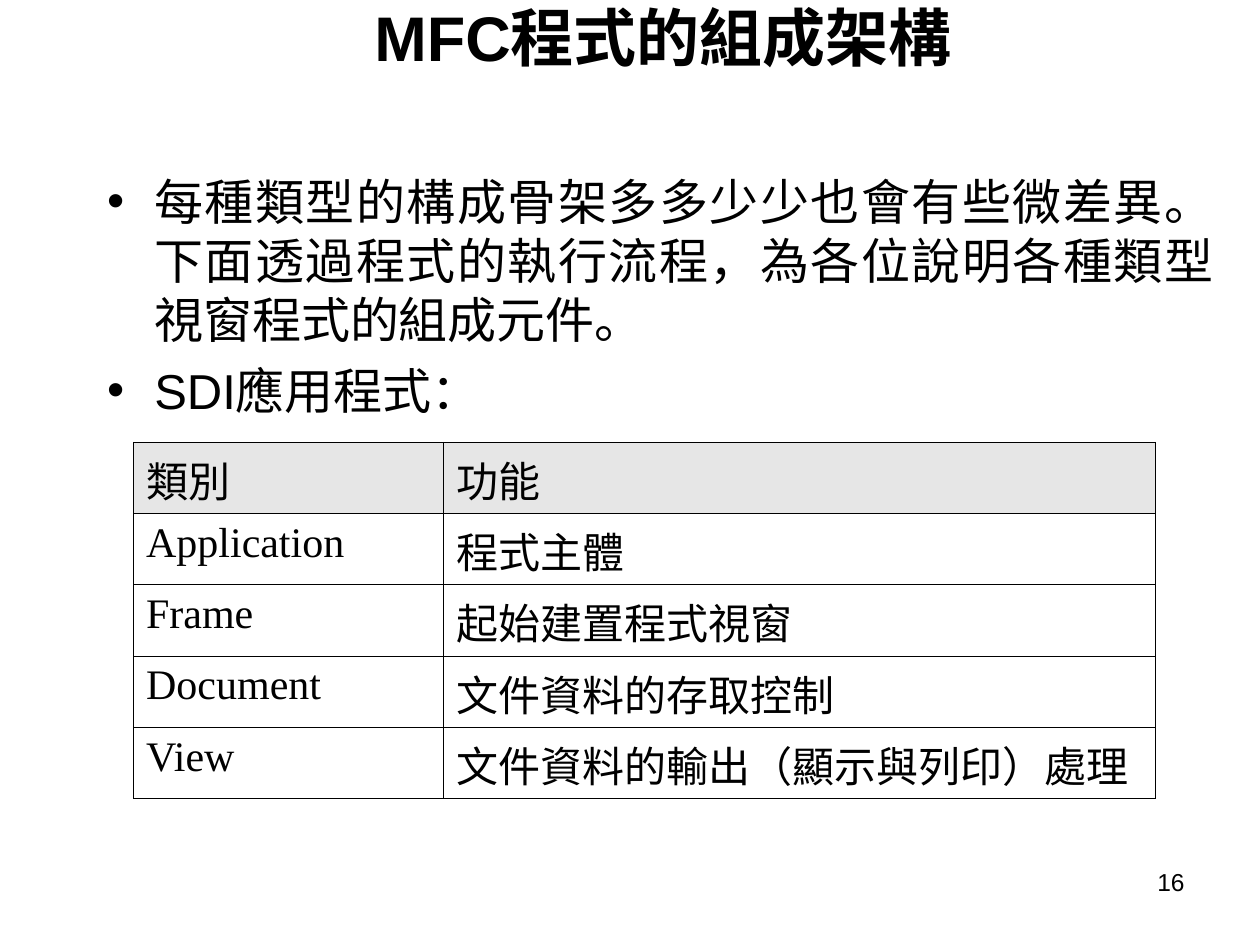
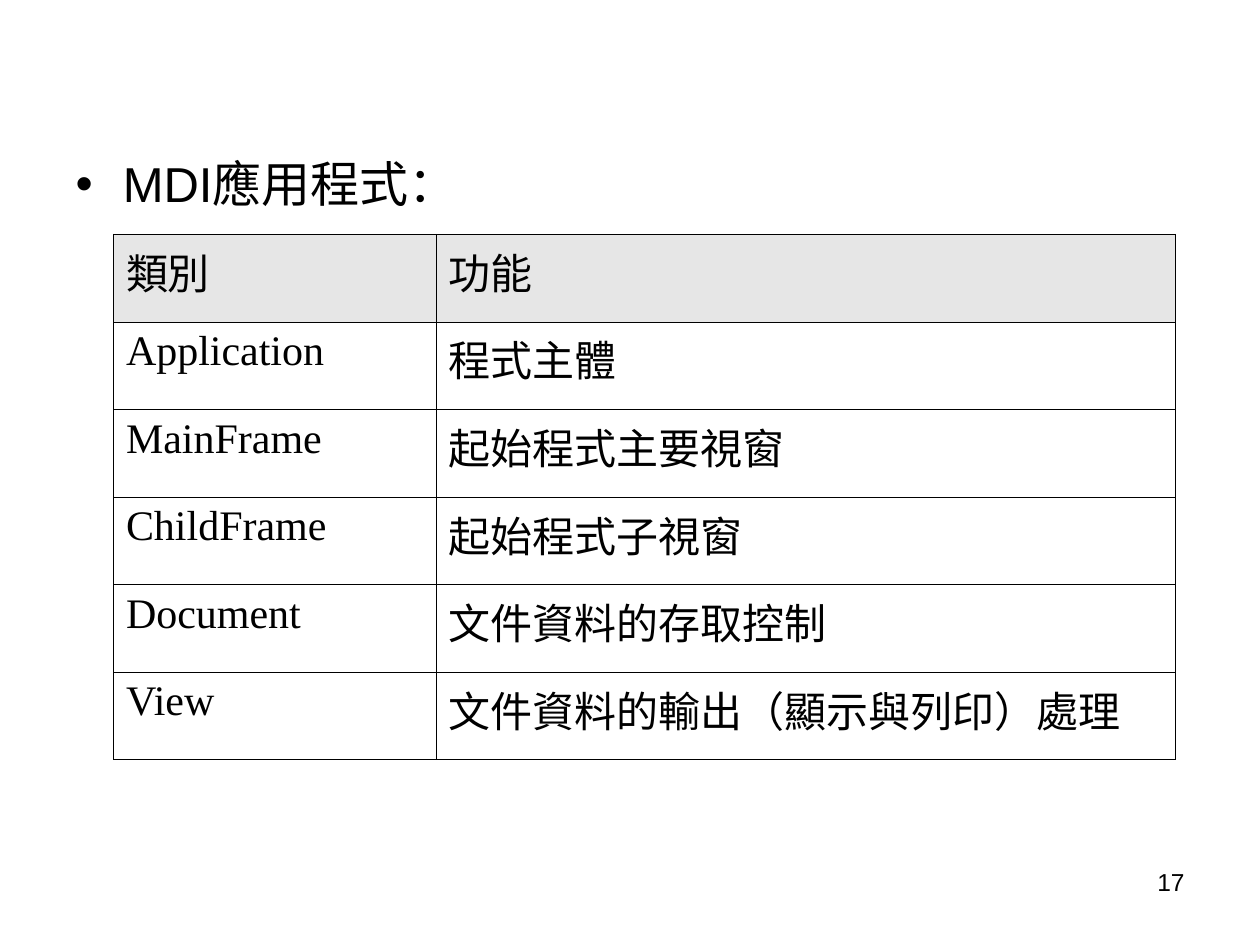
"""Build two slides on the components of MFC window applications."""
from lxml.etree import SubElement
from pptx import Presentation
from pptx.dml.color import RGBColor
from pptx.enum.text import MSO_ANCHOR, MSO_AUTO_SIZE, PP_ALIGN
from pptx.oxml.ns import qn
from pptx.util import Inches, Pt

BLACK = RGBColor(0x00, 0x00, 0x00)
HEADER_GRAY = RGBColor(0xE6, 0xE6, 0xE6)
HEADING_FONT, TABLE_FONT = "Arial", "Times New Roman"
COLUMNS, ROWS = 100, 75
BORDER_WIDTH = Pt(0.45)

HEADER = ("類別", "功能")
APPLICATION = ("Application", "程式主體")
DOCUMENT = ("Document", "文件資料的存取控制")
VIEW = ("View", "文件資料的輸出（顯示與列印）處理")


class Deck:
    """Hold the shared style and the current slide on a 100 by 75 grid."""

    def __init__(self):
        self.presentation = Presentation()
        self.presentation.slide_width = Inches(10)
        self.presentation.slide_height = Inches(7.5)
        self.slide = None

    def grid(self, left, top, width, height):
        """Turn grid columns and rows into lengths."""
        column = self.presentation.slide_width / COLUMNS
        row = self.presentation.slide_height / ROWS
        return [round(count * unit) for count, unit in
                zip((left, top, width, height), (column, row, column, row))]

    def place(self, shape, area):
        """Move a shape to a grid area."""
        shape.left, shape.top, shape.width, shape.height = self.grid(*area)

    def style(self, text_frame, size, font_name=HEADING_FONT, bold=False, alignment=PP_ALIGN.LEFT):
        """Format every paragraph and run of a text frame."""
        for paragraph in text_frame.paragraphs:
            paragraph.alignment = alignment
            for run in paragraph.runs:
                run.font.name = font_name
                run.font.size = Pt(size)
                run.font.bold = bold
                run.font.color.rgb = BLACK

    def add_slide(self, number):
        """Start a slide with its page number."""
        self.slide = self.presentation.slides.add_slide(self.presentation.slide_layouts[1])
        text_frame = self.slide.shapes.add_textbox(*self.grid(71.7, 68.3, 23.3, 5.2)).text_frame
        text_frame.word_wrap = True
        text_frame.text = str(number)
        self.style(text_frame, 14, alignment=PP_ALIGN.RIGHT)

    def title(self, text=None):
        """Fill the title, or remove it when the slide has none."""
        shape = self.slide.shapes.title
        if text is None:
            shape.element.getparent().remove(shape.element)
            return
        self.place(shape, (11.4, 0, 83.6, 5.8))
        shape.text_frame.text = text
        shape.text_frame.auto_size = MSO_AUTO_SIZE.NONE
        shape.text_frame.vertical_anchor = MSO_ANCHOR.MIDDLE
        self.style(shape.text_frame, 36, bold=True, alignment=PP_ALIGN.CENTER)

    def bullets(self, items, area, alignment=PP_ALIGN.LEFT):
        """Fill the body placeholder with a bulleted list."""
        shape = self.slide.placeholders[1]
        self.place(shape, area)
        shape.text_frame.text = "\n".join(items)
        shape.text_frame.auto_size = MSO_AUTO_SIZE.NONE
        for index, paragraph in enumerate(shape.text_frame.paragraphs):
            paragraph.space_before = Pt(7 if index else 0)
        self.style(shape.text_frame, 28, alignment=alignment)

    def border(self, cell):
        """Draw thin black lines on all sides of a cell."""
        properties = cell._tc.get_or_add_tcPr()
        for side in ("a:lnL", "a:lnR", "a:lnT", "a:lnB"):
            line = SubElement(properties, qn(side), w=str(BORDER_WIDTH))
            fill = SubElement(line, qn("a:solidFill"))
            SubElement(fill, qn("a:srgbClr"), val=str(BLACK))

    def table(self, records, area, first_width):
        """Add a bordered table with a gray header row."""
        frame = self.slide.shapes.add_table(len(records), len(HEADER), *self.grid(*area))
        table = frame.table
        table.first_row = table.horz_banding = False
        widths = self.grid(first_width, 0, area[2] - first_width, 0)[::2]
        for column, width in zip(table.columns, widths):
            column.width = width
        for row_index, (row, record) in enumerate(zip(table.rows, records)):
            for cell, text in zip(row.cells, record):
                cell.text_frame.text = text
                self.style(cell.text_frame, 24, TABLE_FONT)
                self.border(cell)
                if row_index:
                    cell.fill.background()
                else:
                    cell.fill.solid()
                    cell.fill.fore_color.rgb = HEADER_GRAY


def main():
    """Build and save the presentation."""
    deck = Deck()

    deck.add_slide(16)
    deck.title("MFC程式的組成架構 ")
    deck.bullets(
        ["每種類型的構成骨架多多少少也會有些微差異。下面透過程式的執行流程，"
         "為各位說明各種類型視窗程式的組成元件。",
         "SDI應用程式： "],
        (7.5, 13.1, 89.8, 48), PP_ALIGN.JUSTIFY)
    deck.table([HEADER, APPLICATION, ("Frame", "起始建置程式視窗"), DOCUMENT, VIEW],
               (10.6, 35.1, 81.1, 28.3), 24.6)

    deck.add_slide(17)
    deck.title()
    deck.bullets(["MDI應用程式："], (5, 11.7, 44.1, 55))
    deck.table([HEADER, APPLICATION, ("MainFrame", "起始程式主要視窗"),
                ("ChildFrame", "起始程式子視窗"), DOCUMENT, VIEW],
               (9, 18.6, 84.3, 41.7), 25.6)

    deck.presentation.save("out.pptx")


if __name__ == "__main__":
    main()
